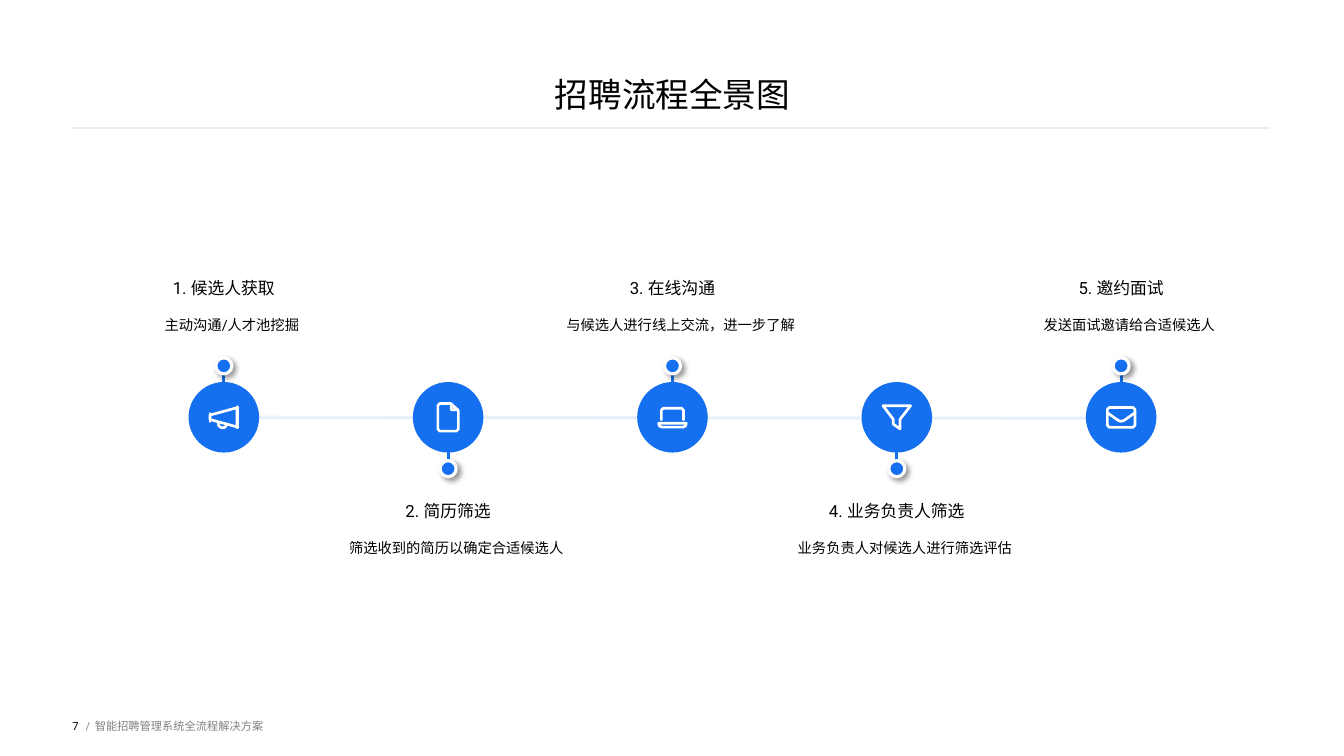
from lxml.etree import SubElement
from pptx import Presentation
from pptx.dml.color import RGBColor
from pptx.enum.shapes import MSO_CONNECTOR as Link, MSO_SHAPE as Preset
from pptx.enum.text import MSO_ANCHOR as Anchor, MSO_AUTO_SIZE as Fit, PP_ALIGN as Align
from pptx.oxml.ns import qn
from pptx.util import Inches, Pt

FONT = "Roboto"
BLUE, WHITE, BLACK, GRAY = "1570EF", "FFFFFF", "000000", "808080"
FIRST_X, STEP_X, AXIS_Y = 2.22, 2.225, 4.14

MEGAPHONE = [
    ([(-137, -22), (130, -95), (130, 95), (-137, 22)], True),
    ([(-137, -38), (-137, 42)], False),
    ([(137, -105), (137, 105)], False),
    ([(-55, 55), (-50, 85), (-20, 105), (10, 100), (30, 75)], False),
]
DOCUMENT = [
    ([(-102, -117), (-82, -137), (25, -137), (102, -65), (102, 117),
      (82, 137), (-82, 137), (-102, 117)], True),
    ([(30, -130), (30, -75), (95, -75)], True),
]
LAPTOP = [
    ([(-110, 25), (-110, -70), (-90, -90), (90, -90), (110, -70), (110, 25)], False),
    ([(-137, 60), (137, 60), (130, 85), (105, 98), (-105, 98), (-130, 85)], True),
]
FUNNEL = [
    ([(-137, -115), (137, -115), (32, 20), (32, 115), (-35, 68), (-35, 20)], True),
]
ENVELOPE = [
    ([(-137, -78), (-117, -98), (117, -98), (137, -78), (137, 80),
      (117, 100), (-117, 100), (-137, 80)], True),
    ([(-137, -45), (-30, 30), (0, 40), (30, 30), (137, -45)], False),
]
STAGES = [
    ("1. 候选人获取", "主动沟通/人才池挖掘", MEGAPHONE),
    ("2. 简历筛选", "筛选收到的简历以确定合适候选人", DOCUMENT),
    ("3. 在线沟通", "与候选人进行线上交流，进一步了解", LAPTOP),
    ("4. 业务负责人筛选", "业务负责人对候选人进行筛选评估", FUNNEL),
    ("5. 邀约面试", "发送面试邀请给合适候选人", ENVELOPE),
]


def paint(target, color):
    """Give a fill or a font a solid colour from a hex string."""
    if hasattr(target, "solid"):
        target.solid()
        target.fore_color.rgb = RGBColor.from_string(color)
    else:
        target.color.rgb = RGBColor.from_string(color)


def prepare_frame(shape, anchor):
    """Set margins, wrapping and anchor of a shape's text and return its frame."""
    frame = shape.text_frame
    frame.auto_size = Fit.NONE
    frame.word_wrap = True
    frame.vertical_anchor = anchor
    frame.margin_left = frame.margin_right = frame.margin_top = frame.margin_bottom = 0
    return frame


def write(para, text, size=8, color=BLACK, align=Align.LEFT, before=0, spacing=None, indent=0):
    """Write formatted text into a paragraph."""
    para.alignment = align
    para.space_before = Pt(before)
    para.line_spacing = spacing
    if indent:
        para._p.get_or_add_pPr().set("marL", str(Inches(indent)))
    span = para.add_run()
    span.text = text
    span.font.name = FONT
    span.font.size = Pt(size)
    paint(span.font, color)


def add_box(slide, left, top, width, height, anchor=Anchor.MIDDLE):
    """Add a text box and return its frame."""
    box = slide.shapes.add_textbox(Inches(left), Inches(top), Inches(width), Inches(height))
    return prepare_frame(box, anchor)


def add_line(slide, start, end, color, weight, opacity=100):
    """Add a plain straight line between two points."""
    line = slide.shapes.add_connector(Link.STRAIGHT, *map(Inches, start + end))
    line.line.width = Pt(weight)
    paint(line.line.fill, color)
    SubElement(line._element.spPr, qn("a:effectLst"))
    if opacity < 100:
        tint = line._element.spPr.find(".//" + qn("a:srgbClr"))
        SubElement(tint, qn("a:alpha"), val=str(opacity * 1000))


def add_circle(slide, x, y, radius):
    """Add a blue circle without outline around a centre."""
    circle = slide.shapes.add_shape(
        Preset.OVAL, Inches(x - radius), Inches(y - radius), Inches(2 * radius), Inches(2 * radius))
    circle.shadow.inherit = False
    paint(circle.fill, BLUE)
    circle.line.fill.background()
    return circle


def add_dot(slide, x, y):
    """Add a small white-rimmed dot with a soft shadow."""
    dot = add_circle(slide, x, y, 0.08)
    dot.line.width = Pt(2.25)
    paint(dot.line.fill, WHITE)
    effects = dot._element.spPr.find(qn("a:effectLst"))
    shade = SubElement(effects, qn("a:outerShdw"), blurRad=str(Pt(3.8)), dist=str(Pt(3)),
                       dir=str(45 * 60000), algn="tl", rotWithShape="0")
    tint = SubElement(shade, qn("a:srgbClr"), val=BLACK)
    SubElement(tint, qn("a:alpha"), val="40000")


def add_icon(slide, x, y, strokes):
    """Draw white strokes, in thousandths of an inch, around a centre."""
    builder = slide.shapes.build_freeform(*strokes[0][0][0], scale=Inches(0.001))
    for points, closed in strokes:
        builder.move_to(*points[0])
        builder.add_line_segments(points[1:], close=closed)
    icon = builder.convert_to_shape(Inches(x), Inches(y))
    icon.shadow.inherit = False
    icon.fill.background()
    icon.line.width = Pt(1.9)
    paint(icon.line.fill, WHITE)
    outline = icon.line._get_or_add_ln()
    outline.set("cap", "rnd")
    SubElement(outline, qn("a:round"))


def add_stage(slide, index, heading, detail, icon):
    """Add one stage with its text above or below the axis."""
    x = FIRST_X + index * STEP_X
    above = index % 2 == 0
    side = -1 if above else 1
    add_line(slide, (x, AXIS_Y + side * 0.3), (x, AXIS_Y + side * 0.59), BLUE, 2.25)
    add_circle(slide, x, AXIS_Y, 0.35)
    add_dot(slide, x, AXIS_Y + side * 0.51)
    add_icon(slide, x, AXIS_Y, icon)
    frame = add_box(slide, x - 1.3, 1.71 if above else 4.95, 2.6, 1.6,
                    Anchor.BOTTOM if above else Anchor.TOP)
    write(frame.paragraphs[0], heading, size=12, align=Align.CENTER, spacing=1.1)
    write(frame.add_paragraph(), detail, size=10.2, align=Align.CENTER,
          before=12, spacing=1.1, indent=0.16)


def add_title(slide, text):
    """Move and fill the title placeholder and rule it off below."""
    title = slide.shapes.title
    title.left, title.top, title.width, title.height = map(Inches, (0.7, 0, 11.94, 1.13))
    frame = prepare_frame(title, Anchor.BOTTOM)
    write(frame.paragraphs[0], text, size=24, align=Align.CENTER)
    add_line(slide, (0.7, 1.27), (12.6, 1.27), "EAECF0", 2)


def add_footer(slide, number, text):
    """Add the page number, a slash and the footer text."""
    write(add_box(slide, 0.47, 6.9, 0.31, 0.6).paragraphs[0], number, align=Align.RIGHT)
    write(add_box(slide, 0.85, 6.9, 0.09, 0.6).paragraphs[0], "/", color=GRAY)
    write(add_box(slide, 0.94, 6.9, 8.61, 0.6).paragraphs[0], text, color=GRAY)


def main():
    """Build the recruiting process slide."""
    deck = Presentation()
    deck.slide_width, deck.slide_height = Inches(13.33), Inches(7.5)
    page = deck.slides.add_slide(deck.slide_layouts[5])
    add_title(page, "招聘流程全景图")
    add_line(page, (2.57, AXIS_Y), (10.77, AXIS_Y + 0.01), "D0E2FC", 2.25, opacity=50)
    for index, stage in enumerate(STAGES):
        add_stage(page, index, *stage)
    add_footer(page, "7", "智能招聘管理系统全流程解决方案")
    deck.save("out.pptx")


if __name__ == "__main__":
    main()
